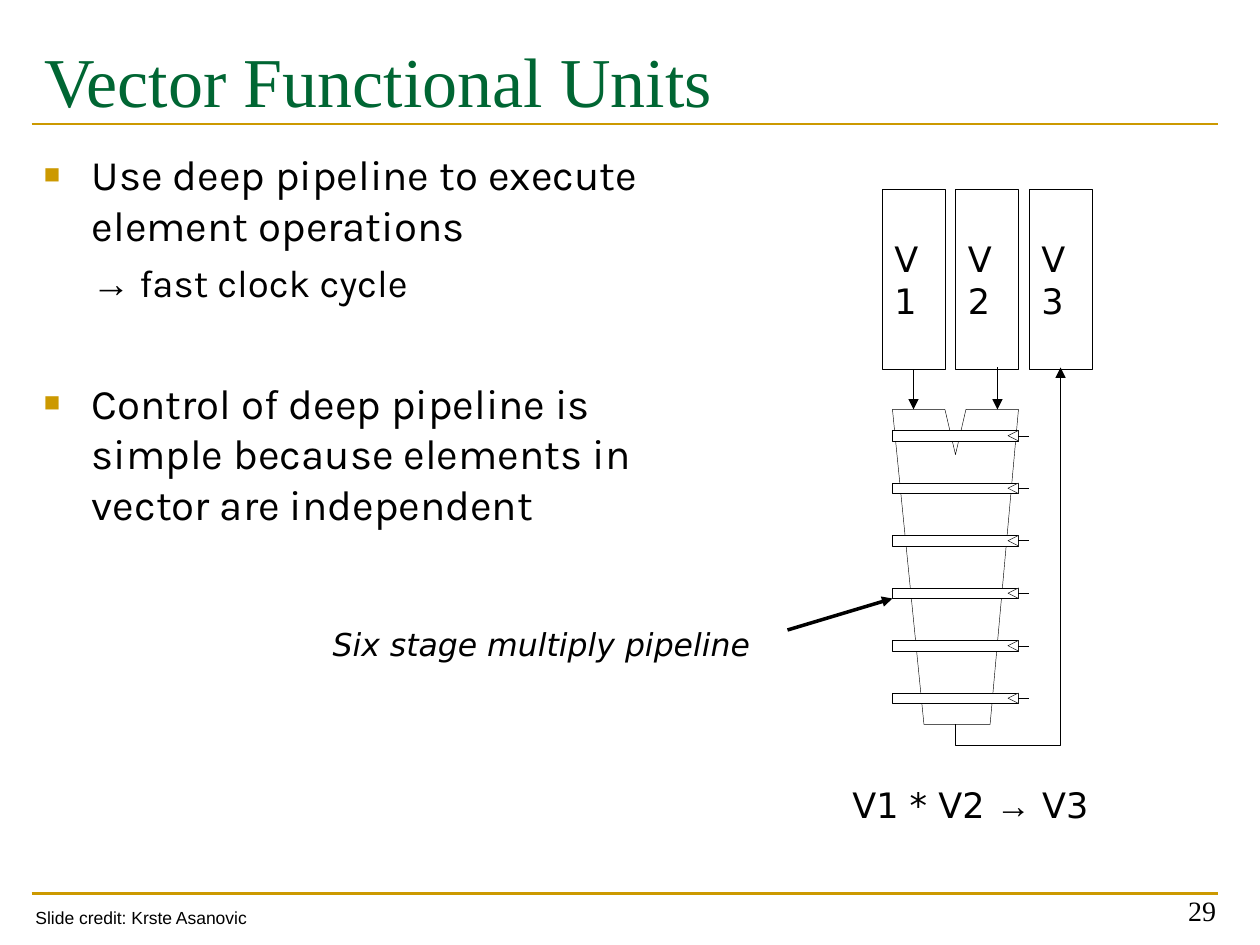
from pptx import Presentation
from pptx.dml.color import RGBColor
from pptx.enum.shapes import MSO_CONNECTOR as Connector, MSO_SHAPE as Shape
from pptx.enum.text import MSO_ANCHOR as Anchor, MSO_AUTO_SIZE as AutoSize, PP_ALIGN as Align
from pptx.oxml.ns import qn
from pptx.util import Inches, Pt
from lxml.etree import SubElement

COLUMNS, ROWS = 120, 90
GREEN, GOLD, BLACK, WHITE = "006633", "CC9900", "000000", "FFFFFF"
SERIF, SANS, BODY, SYMBOL = "Times New Roman", "DejaVu Sans", "Karla", "Arial"


def colour(value):
    return RGBColor.from_string(value)


def add_text(para, text, size=20, font=SANS, ink=BLACK, italic=False):
    span = para.add_run()
    span.text = text
    span.font.size = Pt(size)
    span.font.name = font
    span.font.italic = italic
    span.font.color.rgb = colour(ink)


def indent(para, left, hanging=0, bullet=None):
    properties = para._p.get_or_add_pPr()
    properties.set("marL", str(Inches(left)))
    properties.set("indent", str(-Inches(hanging)))
    if bullet:
        tint = SubElement(properties, qn("a:buClr"))
        SubElement(tint, qn("a:srgbClr"), val=GOLD)
        SubElement(properties, qn("a:buSzPct"), val="65000")
        SubElement(properties, qn("a:buFont"), typeface=SYMBOL)
        SubElement(properties, qn("a:buChar"), char=bullet)


class SlideBuilder:
    def __init__(self, deck):
        self.page = deck.slides.add_slide(deck.slide_layouts[5])
        self.shapes = self.page.shapes
        self.column = deck.slide_width / COLUMNS
        self.row = deck.slide_height / ROWS

    def point(self, column, row):
        return round(column * self.column), round(row * self.row)

    def area(self, column, row, width, height):
        return *self.point(column, row), *self.point(width, height)

    def outline(self, shape, fill=None):
        shape.shadow.inherit = False
        if fill:
            shape.fill.solid()
            shape.fill.fore_color.rgb = colour(fill)
        else:
            shape.fill.background()
        shape.line.color.rgb = colour(BLACK)
        shape.line.width = Pt(0.25)

    def arrowhead(self, shape):
        stroke = shape._element.spPr.find(qn("a:ln"))
        SubElement(stroke, qn("a:tailEnd"), type="triangle")

    def title(self, text, *area):
        box = self.shapes.title
        box.left, box.top, box.width, box.height = self.area(*area)
        frame = box.text_frame
        frame.auto_size = AutoSize.NONE
        frame.vertical_anchor = Anchor.TOP
        frame.margin_top = Inches(0.13)
        para = frame.paragraphs[0]
        para.alignment = Align.LEFT
        add_text(para, text, size=40, font=SERIF, ink=GREEN)

    def text_box(self, *area, anchor=Anchor.TOP, wrap=False):
        frame = self.shapes.add_textbox(*self.area(*area)).text_frame
        frame.word_wrap = wrap
        frame.vertical_anchor = anchor
        return frame

    def label(self, text, *area, anchor=Anchor.TOP, **style):
        para = self.text_box(*area, anchor=anchor).paragraphs[0]
        add_text(para, text, **style)
        return para

    def rectangle(self, *area, fill=None):
        box = self.shapes.add_shape(Shape.RECTANGLE, *self.area(*area))
        self.outline(box, fill)
        return box

    def register(self, name, *area):
        box = self.rectangle(*area)
        frame = box.text_frame
        frame.word_wrap = True
        frame.vertical_anchor = Anchor.MIDDLE
        para = frame.paragraphs[0]
        para.alignment = Align.LEFT
        add_text(para, name)
        return box

    def line(self, start, end, ink=BLACK, width=0.25, arrow=False, source=None):
        line = self.shapes.add_connector(
            Connector.STRAIGHT, *self.point(*start), *self.point(*end))
        line.line.color.rgb = colour(ink)
        line.line.width = Pt(width)
        if arrow:
            self.arrowhead(line)
        SubElement(line._element.spPr, qn("a:effectLst"))
        if source:
            line.begin_connect(*source)

    def outline_path(self, points, close=True, fill=None, arrow=False):
        start, *others = [self.point(*point) for point in points]
        builder = self.shapes.build_freeform(*start)
        builder.add_line_segments(others, close=close)
        outline = builder.convert_to_shape()
        self.outline(outline, fill)
        if arrow:
            self.arrowhead(outline)

    def stage(self, row):
        latch = self.rectangle(85, row, 12, 1, fill=WHITE)
        self.outline_path([(97, row + 1), (96, row + 0.5), (97, row)], fill=WHITE)
        self.line((97, row + 0.5), (98, row + 0.5), source=(latch, 3))


def main():
    deck = Presentation()
    deck.slide_width, deck.slide_height = Inches(10), Inches(7.5)
    slide = SlideBuilder(deck)

    for row in (85.1, 11.8):
        slide.line((3, row), (116, row), ink=GOLD, width=1.5)
    slide.title("Vector Functional Units", 3, 2, 113, 14)

    body = slide.text_box(3, 13.1, 62, 68.2, wrap=True)
    body.margin_top = Inches(0.09)
    first, result, second = body.paragraphs[0], body.add_paragraph(), body.add_paragraph()
    for para, text in (
        (first, "Use deep pipeline to execute element operations"),
        (second, "Control of deep pipeline is simple because elements in vector are independent"),
    ):
        indent(para, 0.38, hanging=0.38, bullet="■")
        add_text(para, text, size=24, font=BODY)
    indent(result, 0.38)
    add_text(result, "→", size=22, font=SYMBOL)
    add_text(result, " fast clock cycle", size=22, font=BODY)
    result.space_before, second.space_before = Pt(5.5), Pt(41)

    number = slide.text_box(89, 82.9, 28, 6, anchor=Anchor.BOTTOM, wrap=True).paragraphs[0]
    number.alignment = Align.RIGHT
    add_text(number, "29", size=16, font=SERIF)

    slide.outline_path([(85, 39), (88, 69), (94.3, 69), (97, 39),
                        (92, 39), (91, 43.3), (90, 39)])
    registers = [slide.register(f"V{index + 1}", 84 + 7 * index, 18, 6, 17.2)
                 for index in range(3)]
    slide.line((87, 35), (87, 39), arrow=True, source=(registers[0], 2))
    slide.line((95, 35), (95, 39), arrow=True)
    slide.outline_path([(91, 69), (91, 71), (101, 71), (101, 35)], close=False, arrow=True)
    for index in range(6):
        slide.stage(41 + 5 * index)

    formula = slide.label("V1 * V2 ", 80, 74, 27.8, 5.3, anchor=Anchor.MIDDLE)
    add_text(formula, "→", font=SYMBOL)
    add_text(formula, " V3")
    slide.label("Six stage multiply pipeline", 30.5, 58.9, 51.1, 4.8, size=18, italic=True)
    slide.line((75, 60), (85, 57), width=2, arrow=True)
    slide.label("Slide credit: Krste Asanovic", 2.2, 85.8, 22.6, 3.2, size=10, font=SYMBOL)

    deck.save("out.pptx")


if __name__ == "__main__":
    main()
